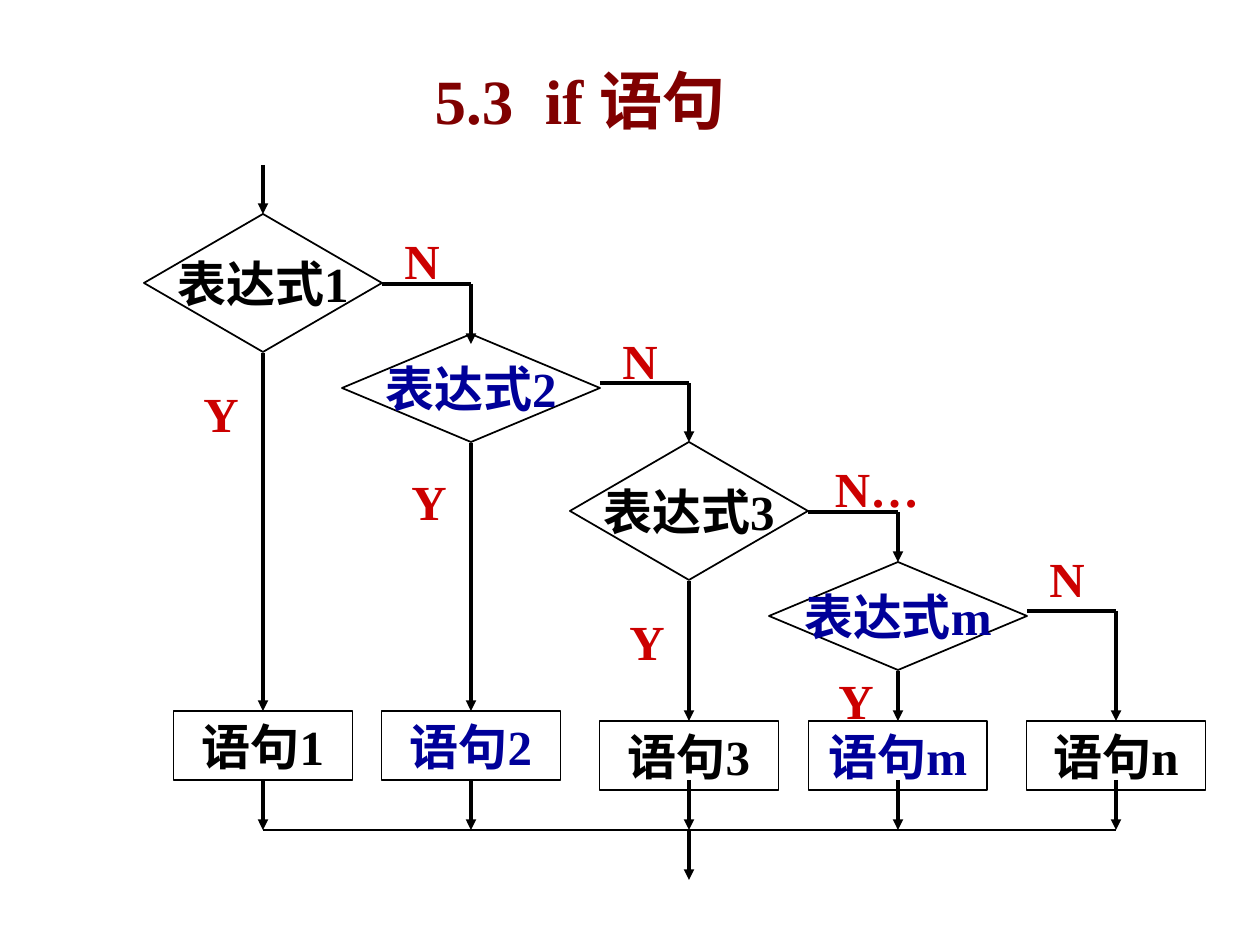
import pptx
import pptx.util
import pptx.dml.color
import pptx.enum.shapes
import pptx.enum.text
import pptx.oxml.ns
from dataclasses import dataclass
from lxml import etree

SCALE = 914400 / 126
SHAPE = pptx.enum.shapes.MSO_SHAPE
ALIGN = pptx.enum.text.PP_ALIGN
ANCHOR = pptx.enum.text.MSO_ANCHOR


@dataclass(frozen=True)
class Theme:
    font: str = "Times New Roman"
    title: str = "800000"
    ink: str = "000000"
    blue: str = "000099"
    red: str = "CC0000"
    head: int = 36
    body: int = 28


@dataclass(frozen=True)
class Test:
    """A decision: its diamond, its N branch and its Y label, in px."""
    top: int
    width: int
    height: int
    turn: int
    enter: int
    no_top: int
    yes_top: int
    no: str = "N"
    no_width: int = 59


@dataclass(frozen=True)
class Lane:
    """One column of the flow, ending in a statement box."""
    mid: int
    name: str
    color: str
    box_top: int
    test: Test | None = None


THEME = Theme()
BOX_W, BOX_H = 179, 69
OUT, JOIN, END = 780, 830, 880
LANES = [
    Lane(263, "1", THEME.ink, 711, Test(214, 238, 138, 284, 344, 224, 377)),
    Lane(471, "2", THEME.blue, 711, Test(334, 258, 108, 383, 442, 324, 465)),
    Lane(689, "3", THEME.ink, 721,
         Test(442, 238, 138, 512, 562, 452, 605, "N…", 118)),
    Lane(898, "m", THEME.blue, 721, Test(562, 258, 108, 611, 721, 542, 664)),
    Lane(1116, "n", THEME.ink, 721),
]


def px(count: float) -> int:
    return round(count * SCALE)


def rgb(code: str) -> pptx.dml.color.RGBColor:
    return pptx.dml.color.RGBColor.from_string(code)


def write(frame, text: str, size: int, color: str, align) -> None:
    frame.text = text
    para = frame.paragraphs[0]
    para.alignment = align
    for run in para.runs:
        run.font.name = THEME.font
        run.font.size = pptx.util.Pt(size)
        run.font.bold = True
        run.font.color.rgb = rgb(color)


def node(slide, kind, mid: int, top: int, width: int, height: int,
         text: str, color: str) -> None:
    shape = slide.shapes.add_shape(
        kind, px(mid - width / 2), px(top), px(width), px(height))
    shape.shadow.inherit = False
    shape.fill.background()
    shape.line.color.rgb = rgb(THEME.ink)
    shape.line.width = pptx.util.Pt(1)
    shape.text_frame.word_wrap = False
    shape.text_frame.vertical_anchor = ANCHOR.MIDDLE
    write(shape.text_frame, text, THEME.body, color, ALIGN.CENTER)


def label(slide, left: int, top: int, width: int, text: str,
          wrap: bool) -> None:
    box = slide.shapes.add_textbox(px(left), px(top), px(width), px(72))
    box.text_frame.word_wrap = wrap
    box.text_frame.auto_size = pptx.enum.text.MSO_AUTO_SIZE.SHAPE_TO_FIT_TEXT
    write(box.text_frame, text, THEME.body, THEME.red, ALIGN.CENTER)


def link(slide, start: tuple[int, int], end: tuple[int, int],
         width: int = 2, arrow: bool = True) -> None:
    line = slide.shapes.add_connector(
        pptx.enum.shapes.MSO_CONNECTOR.STRAIGHT,
        *(px(value) for value in start + end))
    line.line.color.rgb = rgb(THEME.ink)
    line.line.width = pptx.util.Pt(width)
    if arrow:
        etree.SubElement(line.line._get_or_add_ln(),
                         pptx.oxml.ns.qn("a:tailEnd"), type="triangle")
    etree.SubElement(line._element.spPr, pptx.oxml.ns.qn("a:effectLst"))


def branch(slide, lane: Lane, after: Lane) -> None:
    """Draw a decision with its Y arrow down and its N turn to the next lane."""
    test = lane.test
    node(slide, SHAPE.DIAMOND, lane.mid, test.top, test.width, test.height,
         f"表达式{lane.name}", lane.color)
    right = lane.mid + test.width // 2
    label(slide, right + 10, test.no_top, test.no_width, test.no, True)
    label(slide, lane.mid - 72, test.yes_top, 60, "Y", False)
    link(slide, (after.mid, test.turn), (right, test.turn), arrow=False)
    link(slide, (after.mid, test.turn), (after.mid, test.enter))
    link(slide, (lane.mid, test.top + test.height + 1),
         (lane.mid, lane.box_top))


def main() -> None:
    deck = pptx.Presentation()
    deck.slide_width, deck.slide_height = px(1260), px(945)
    slide = deck.slides.add_slide(deck.slide_layouts[5])

    title = slide.shapes.title
    title.left, title.top = px(422), px(56)
    title.width, title.height = px(387), px(86)
    title.text_frame.vertical_anchor = ANCHOR.MIDDLE
    write(title.text_frame, "5.3  if 语句", THEME.head, THEME.title, ALIGN.LEFT)

    for lane in LANES:
        node(slide, SHAPE.RECTANGLE, lane.mid, lane.box_top, BOX_W, BOX_H,
             f"语句{lane.name}", lane.color)
    for lane, after in zip(LANES, LANES[1:]):
        branch(slide, lane, after)
    for lane in LANES:
        link(slide, (lane.mid, OUT), (lane.mid, JOIN))

    first, middle, last = LANES[0].mid, LANES[2].mid, LANES[-1].mid
    link(slide, (first, JOIN), (last, JOIN), width=1, arrow=False)
    link(slide, (first, 165), (first, LANES[0].test.top))
    link(slide, (middle, JOIN), (middle, END))
    deck.save("out.pptx")


if __name__ == "__main__":
    main()
